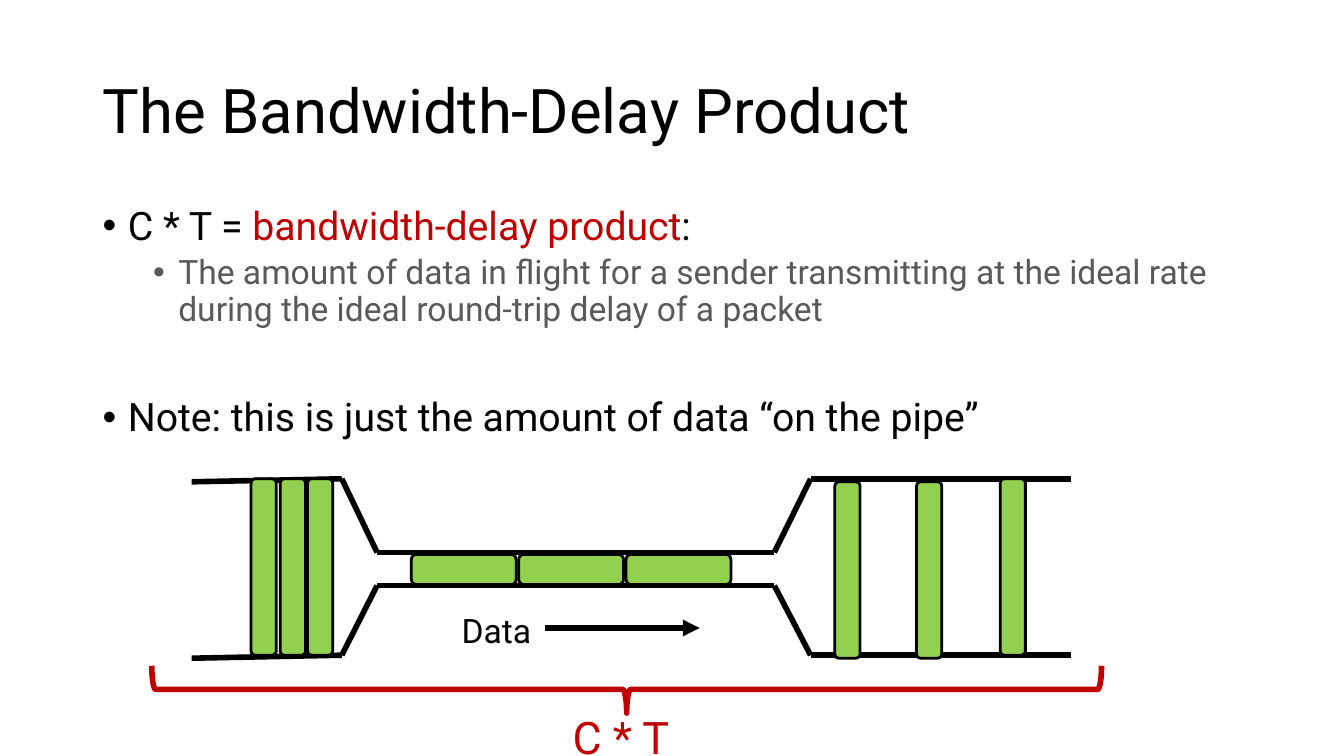
"""Build the slide on the bandwidth-delay product with its pipe diagram."""
from lxml import etree
from pptx import Presentation
from pptx.dml.color import RGBColor
from pptx.enum.shapes import MSO_CONNECTOR, MSO_SHAPE
from pptx.enum.text import MSO_ANCHOR, PP_ALIGN
from pptx.oxml.ns import qn
from pptx.util import Inches, Pt

STRAIGHT = MSO_CONNECTOR.STRAIGHT
PACKET, BRACE = MSO_SHAPE.ROUNDED_RECTANGLE, MSO_SHAPE.RIGHT_BRACE
LEFT, MIDDLE = PP_ALIGN.LEFT, MSO_ANCHOR.MIDDLE
TITLE_ONLY = 5
BLACK, RED, GREEN, GREY = "000000", "C00000", "92D050", "595959"


def color(hex_value):
    return RGBColor.from_string(hex_value)


def write(paragraph, runs, size):
    paragraph.alignment = LEFT
    for text, hex_value in runs:
        run = paragraph.add_run()
        run.text = text
        for name, value in {"name": "Roboto", "size": Pt(size)}.items():
            setattr(run.font, name, value)
        run.font.color.rgb = color(hex_value)


prs = Presentation()
prs.slide_width, prs.slide_height = Inches(13.33), Inches(7.5)
slide = prs.slides.add_slide(prs.slide_layouts[TITLE_ONLY])
shapes = slide.shapes

title = shapes.title
title_place = {"left": 0.92, "top": 0.4, "width": 11.5, "height": 1.45}
for name, value in title_place.items():
    setattr(title, name, Inches(value))
title.text_frame.vertical_anchor = MIDDLE
heading = title.text_frame.paragraphs[0]
heading.line_spacing = 0.9
write(heading, [("The Bandwidth-Delay Product", BLACK)], 44)

points = [
    (0, 0.25, 0, 28, [("C * T = ", BLACK), ("bandwidth-delay product", RED), (":", BLACK)]),
    (1, 0.75, 5, 24, [("The amount of data in flight for a sender transmitting at the ideal rate "
                       "during the ideal round-trip delay of a packet", GREY)]),
    (0, 0.25, 49.5, 28, [("Note: this is just the amount of data “on the pipe”", BLACK)]),
]
body = shapes.add_textbox(Inches(0.92), Inches(2), Inches(12.15), Inches(2.6)).text_frame
body.word_wrap = True
for i, (level, indent, before, size, runs) in enumerate(points):
    point = body.add_paragraph() if i else body.paragraphs[0]
    properties = point._p.get_or_add_pPr()
    properties.set("marL", str(Inches(indent)))
    properties.set("indent", str(-Inches(0.25)))
    etree.SubElement(properties, qn("a:buFont")).set("typeface", "Arial")
    etree.SubElement(properties, qn("a:buChar")).set("char", "•")
    for name, value in {"level": level, "line_spacing": 0.9, "space_before": Pt(before)}.items():
        setattr(point, name, value)
    write(point, runs, size)

pipe_start, funnel_start, neck_start = 1.9, 3.39, 3.74
neck_end, funnel_end, pipe_end = 7.68, 8.04, 10.62
walls = []
for outer, neck in [(4.75, 5.48), (6.5, 5.81)]:
    wall = [(pipe_start, outer + 0.03), (funnel_start, outer), (neck_start, neck),
            (neck_end, neck), (funnel_end, outer), (pipe_end, outer)]
    walls += zip(wall, wall[1:])
data_arrow = ((5.41, 6.23), (6.94, 6.23))


packets = [(left, 4.75, 0.25, 1.75) for left in (2.49, 2.78, 3.05)]
packets += [(4.08 + 1.065 * i, 5.5, 1.04, 0.3) for i in range(3)]
packets += [(8.28, 4.78, 0.25, 1.75), (9.09, 4.78, 0.25, 1.75), (9.92, 4.75, 0.25, 1.75)]

for start, end in walls + [data_arrow]:
    line = shapes.add_connector(STRAIGHT, *map(Inches, start + end))
    line.line.color.rgb = color(BLACK)
    line.line.width = Pt(4)
    etree.SubElement(line._element.spPr, qn("a:effectLst"))
etree.SubElement(line.line._get_or_add_ln(), qn("a:tailEnd")).set("type", "triangle")

for place in packets:
    packet = shapes.add_shape(PACKET, *map(Inches, place))
    packet.shadow.inherit = False
    packet.fill.solid()
    packet.fill.fore_color.rgb = color(GREEN)
    packet.line.color.rgb = color(BLACK)
    packet.line.width = Pt(2)

brace = shapes.add_shape(BRACE, Inches(5.98), Inches(2.13), Inches(0.47), Inches(9.42))
brace.rotation = 90
brace.shadow.inherit = False
brace.fill.background()
brace.line.color.rgb = color(RED)
brace.line.width = Pt(4)

labels = [("Data", BLACK, 24, (4.48, 6, 2.84, 0.5)), ("C * T", RED, 32, (5.58, 6.99, 1.41, 0.64))]
for text, hex_value, size, place in labels:
    label = shapes.add_textbox(*map(Inches, place)).text_frame
    label.word_wrap = True
    write(label.paragraphs[0], [(text, hex_value)], size)

prs.save("out.pptx")
